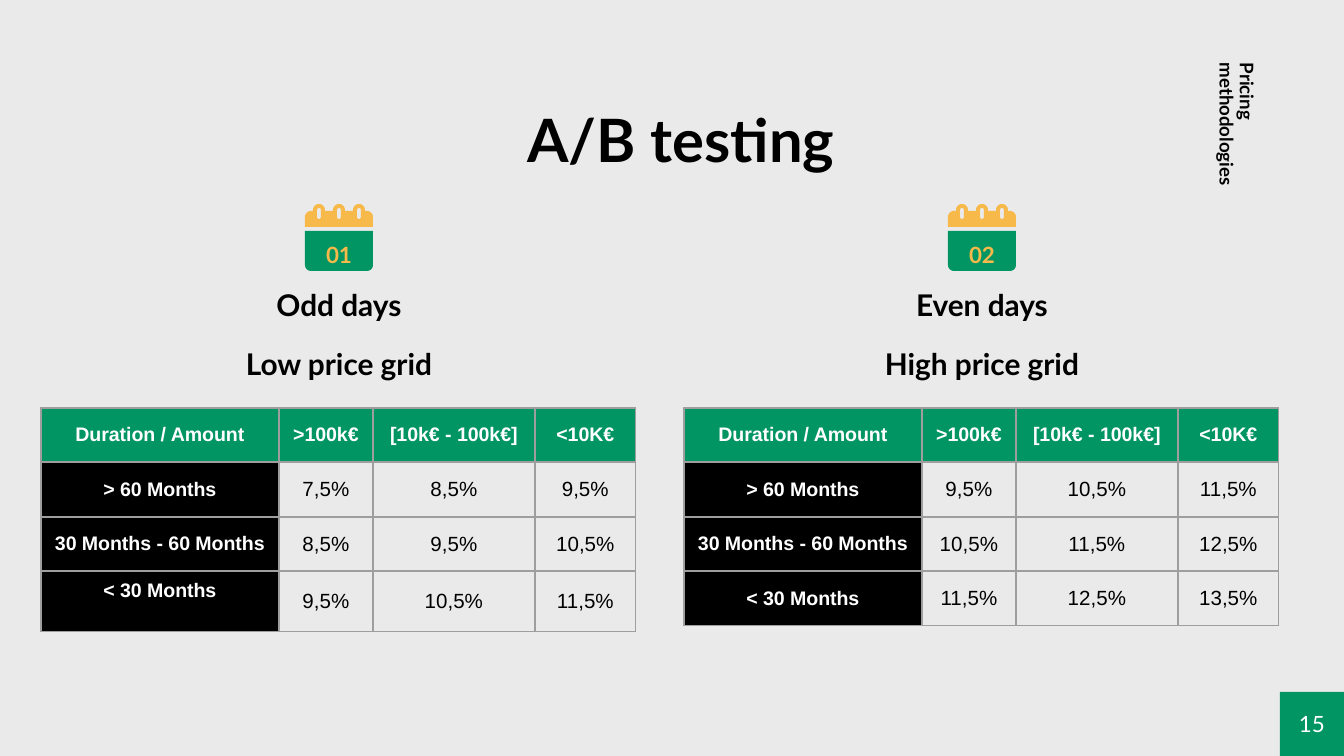
from math import cos, radians, sin

from lxml import etree
from pptx import Presentation
from pptx.dml.color import RGBColor
from pptx.enum.shapes import MSO_SHAPE
from pptx.enum.text import MSO_ANCHOR, PP_ALIGN
from pptx.oxml.ns import qn
from pptx.util import Pt

CENTER, LEFT = PP_ALIGN.CENTER, PP_ALIGN.LEFT
TOP, MIDDLE = MSO_ANCHOR.TOP, MSO_ANCHOR.MIDDLE
RECT = MSO_SHAPE.RECTANGLE

COLORS = {
    "back": "EAEAEA", "green": "009563", "yellow": "F7B949",
    "black": "000000", "ink": "030303", "white": "FFFFFF", "grid": "9E9E9E",
}

TITLE = "A/B testing"
SECTION = "Pricing methodologies"
PAGE = "15"
HEADER = ["Duration / Amount", ">100k€", "[10k€ - 100k€]", "<10K€"]
DURATIONS = ["> 60 Months", "30 Months - 60 Months", "< 30 Months"]
GRIDS = [
    {"left": 41, "number": "01", "days": "Odd days", "name": "Low price grid",
     "last_row": 60, "last_margins": (8, 29),
     "rates": [["7,5%", "8,5%", "9,5%"],
               ["8,5%", "9,5%", "10,5%"],
               ["9,5%", "10,5%", "11,5%"]]},
    {"left": 684, "number": "02", "days": "Even days", "name": "High price grid",
     "last_row": 55, "last_margins": (12, 12),
     "rates": [["9,5%", "10,5%", "11,5%"],
               ["10,5%", "11,5%", "12,5%"],
               ["11,5%", "12,5%", "13,5%"]]},
]

COL_WIDTHS = [238, 94, 162, 101]
ROW_HEIGHTS = [54, 55, 54]
TABLE_TOP = 408
ICON_W, ICON_TOP = 68, 204
RINGS = [14, 34, 54]
INSET = 13


def px(n):
    return round(n * 914400 / 134.4)


def rgb(name):
    return RGBColor.from_string(COLORS[name])


def write(tf, text, size, color, bold=True, font="Lato", align=CENTER):
    p = tf.paragraphs[0]
    p.alignment = align
    r = p.add_run()
    r.text = text
    r.font.name, r.font.size, r.font.bold = font, Pt(size), bold
    r.font.color.rgb = rgb(color)
    return p


def frame(tf, insets, anchor):
    tf.word_wrap = True
    tf.vertical_anchor = anchor
    tf.margin_left, tf.margin_top, tf.margin_right, tf.margin_bottom = map(px, insets)


def add_text(shapes, box, text, size, color, insets, anchor=TOP, align=CENTER):
    sp = shapes.add_textbox(*map(px, box))
    frame(sp.text_frame, insets, anchor)
    write(sp.text_frame, text, size, color, align=align)
    return sp


def paint(sp, color):
    sp.fill.solid()
    sp.fill.fore_color.rgb = rgb(color)
    sp.line.fill.background()
    sp.shadow.inherit = False


def arc(cx, cy, radius, start, end):
    steps = 10
    angles = [radians(start + (end - start) * i / steps) for i in range(steps + 1)]
    return [(cx + radius * cos(a), cy + radius * sin(a)) for a in angles]


def add_outline(shapes, contours, left, color):
    contours = [[(px(left + x), px(ICON_TOP + y)) for x, y in c] for c in contours]
    fb = shapes.build_freeform(*contours[0][0], scale=1.0)
    for i, points in enumerate(contours):
        if i:
            fb.move_to(*points[0])
        fb.add_line_segments(points[1:], close=True)
    paint(fb.convert_to_shape(), color)


def add_calendar(center, number):
    left = center - ICON_W // 2
    shapes = prs.slides[0].shapes.add_group_shape().shapes
    body = [(0, 27), (ICON_W, 27)] + arc(ICON_W - 6, 61, 6, 0, 90) + arc(6, 61, 6, 90, 180)
    band = [(0, 23)] + arc(6, 13, 6, 180, 270)
    for x in RINGS:
        band += [(x - 6, 7)] + arc(x, 6, 6, 180, 360) + [(x + 6, 7)]
    band += arc(ICON_W - 6, 13, 6, 270, 360) + [(ICON_W, 23)]
    holes = [arc(x, 6, 2, 360, 180) + arc(x, 13, 2, 180, 0) for x in RINGS]
    add_outline(shapes, [body], left, "green")
    add_outline(shapes, [band] + holes, left, "yellow")
    add_text(shapes, (left + 8, 235, 46, 39), number, 12, "yellow",
             (INSET, INSET, 0, INSET), MIDDLE, LEFT)


def add_borders(cell):
    pr = cell._tc.get_or_add_tcPr()
    for i, side in enumerate(("lnL", "lnR", "lnT", "lnB")):
        ln = etree.Element(qn("a:" + side), w=str(Pt(0.75)))
        fill = etree.SubElement(ln, qn("a:solidFill"))
        etree.SubElement(fill, qn("a:srgbClr"), val=COLORS["grid"])
        pr.insert(i, ln)


def add_price_table(grid):
    heights = ROW_HEIGHTS + [grid["last_row"]]
    rows = [HEADER] + [[d] + r for d, r in zip(DURATIONS, grid["rates"])]
    box = (grid["left"], TABLE_TOP, sum(COL_WIDTHS), sum(heights))
    table = s.shapes.add_table(len(rows), len(HEADER), *map(px, box)).table
    table.first_row = table.horz_banding = False
    for col, width in zip(table.columns, COL_WIDTHS):
        col.width = px(width)
    for i, (row, height) in enumerate(zip(rows, heights)):
        table.rows[i].height = px(height)
        for j, text in enumerate(row):
            cell = table.cell(i, j)
            cell.vertical_anchor = MIDDLE
            cell.margin_left = cell.margin_right = px(10)
            margins = grid["last_margins"] if (i, j) == (3, 0) else (12, 12)
            cell.margin_top, cell.margin_bottom = map(px, margins)
            label = i == 0 or j == 0
            if label:
                cell.fill.solid()
                cell.fill.fore_color.rgb = rgb("black" if i else "green")
            else:
                cell.fill.background()
            write(cell.text_frame, text, 10.5 if label else 11,
                  "white" if label else "black", label, "Arial")
            add_borders(cell)


prs = Presentation()
prs.slide_width, prs.slide_height = px(1344), px(756)
s = prs.slides.add_slide(prs.slide_layouts[6])
s.background.fill.solid()
s.background.fill.fore_color.rgb = rgb("back")

add_text(s.shapes, (121, 90, 1133, 85), TITLE, 32, "black", (0, INSET, INSET, INSET))

sp = s.shapes.add_shape(RECT, *map(px, (1280, 692, 64, 64)))
paint(sp, "green")
frame(sp.text_frame, [INSET] * 4, MIDDLE)
write(sp.text_frame, PAGE, 12, "white", False)

section = add_text(s.shapes, (1132, 98, 185, 89), SECTION, 10, "ink", [INSET] * 4, align=LEFT)
section.rotation = 90
section.text_frame.paragraphs[0].line_spacing = 0.9

for grid in GRIDS:
    center = grid["left"] + sum(COL_WIDTHS) // 2 + 1
    for text, top, width in ((grid["days"], 274, 172), (grid["name"], 333, 444)):
        add_text(s.shapes, (center - width // 2, top, width, 59), text, 16, "black",
                 (0, INSET, 0, INSET))
    add_calendar(center, grid["number"])
    add_price_table(grid)

prs.save("out.pptx")
